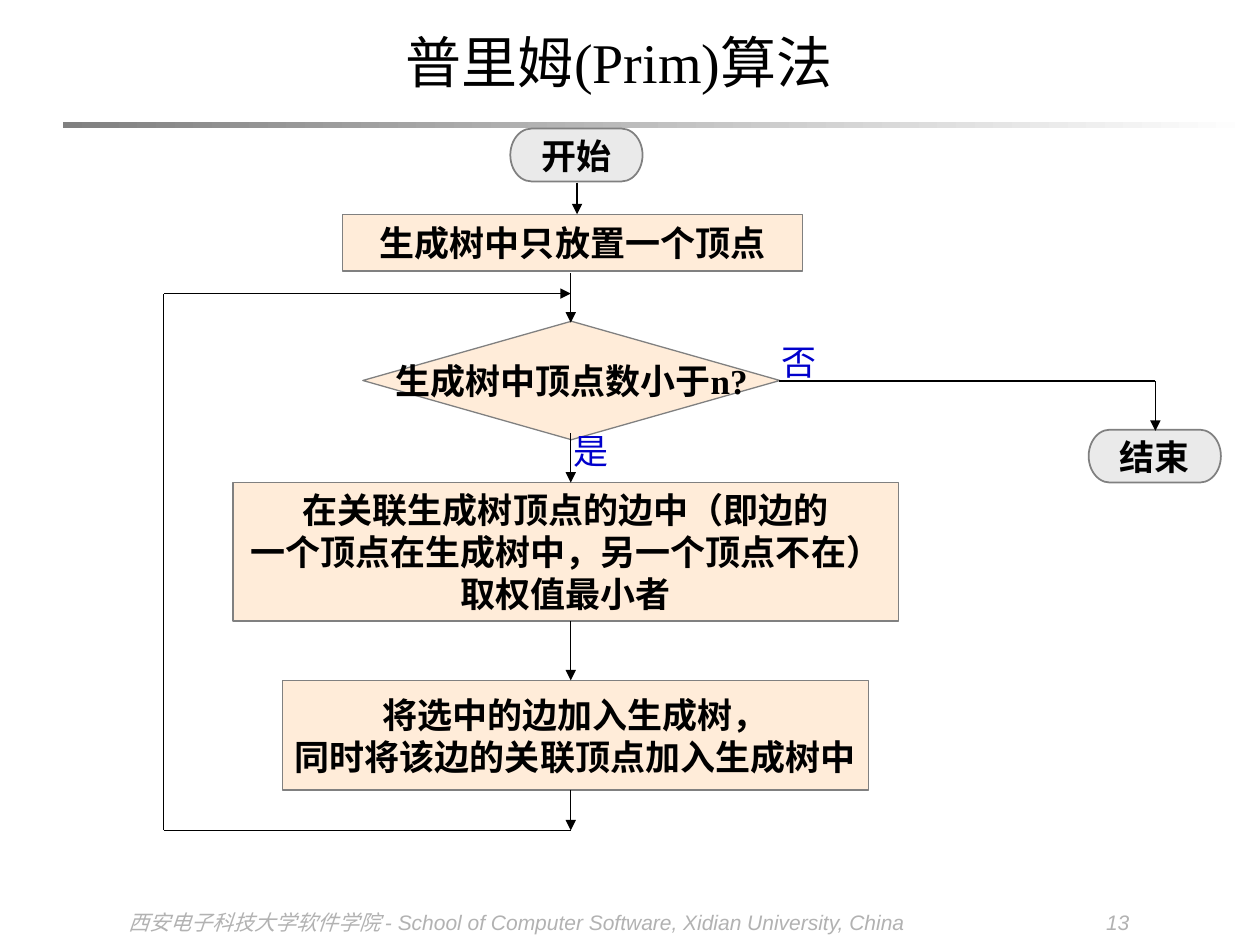
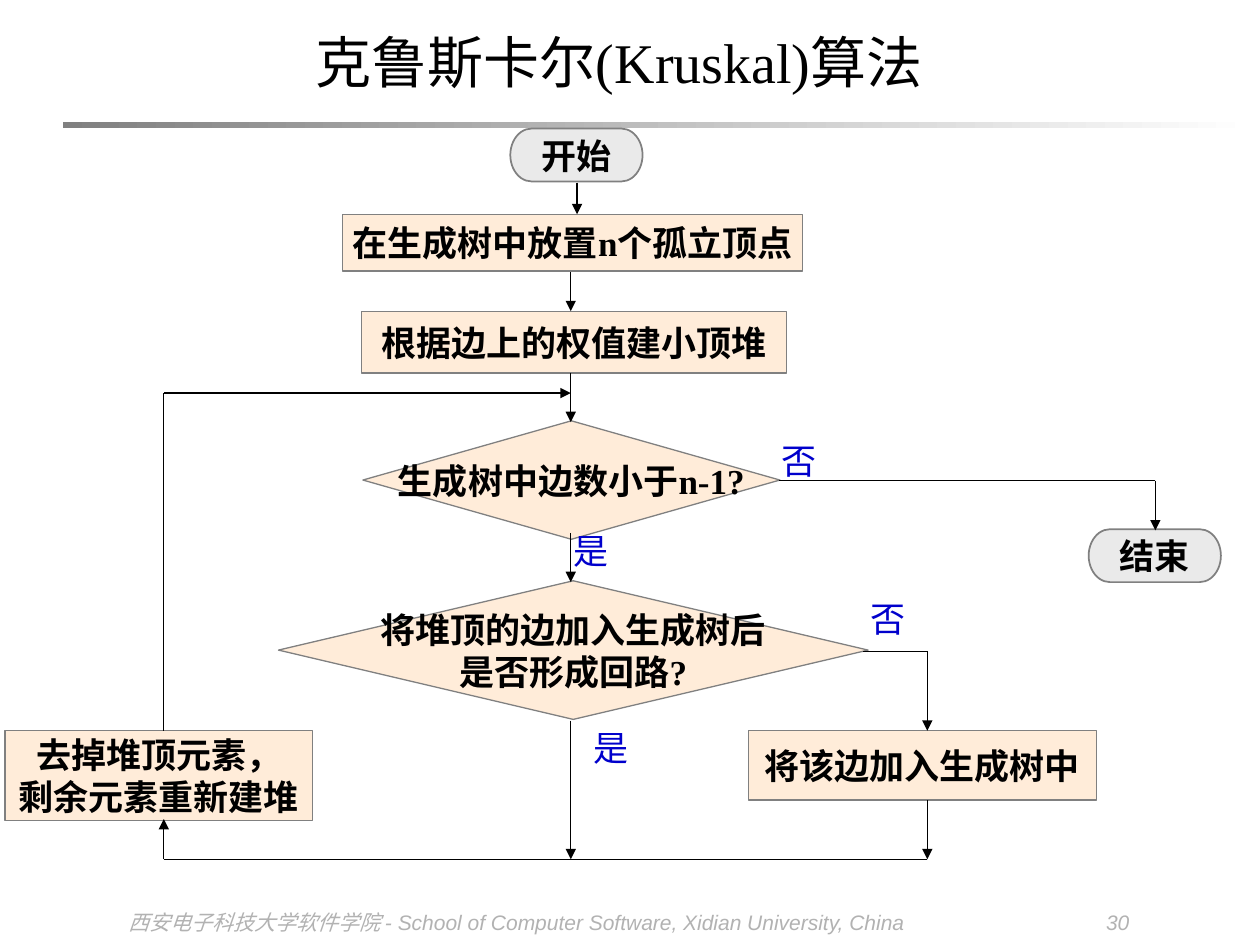
"""Build two flowchart slides: Prim's and Kruskal's minimum spanning tree algorithms."""
from dataclasses import dataclass
from itertools import pairwise

from lxml import etree
from pptx import Presentation
from pptx.dml.color import RGBColor
from pptx.enum.shapes import MSO_CONNECTOR, MSO_SHAPE
from pptx.enum.text import MSO_ANCHOR, MSO_AUTO_SIZE, PP_ALIGN
from pptx.oxml.ns import qn
from pptx.util import Inches, Pt

PROCESS = MSO_SHAPE.FLOWCHART_PROCESS
DECISION = MSO_SHAPE.FLOWCHART_DECISION
TERMINATOR = MSO_SHAPE.FLOWCHART_TERMINATOR
RECTANGLE = MSO_SHAPE.RECTANGLE
STRAIGHT = MSO_CONNECTOR.STRAIGHT
CENTER, LEFT = PP_ALIGN.CENTER, PP_ALIGN.LEFT
MIDDLE = MSO_ANCHOR.MIDDLE
NO_AUTOFIT = MSO_AUTO_SIZE.NONE


@dataclass(frozen=True)
class Theme:
    ink: RGBColor = RGBColor.from_string("000000")
    paper: RGBColor = RGBColor.from_string("FFFFFF")
    step: RGBColor = RGBColor.from_string("FFECD9")
    terminal: RGBColor = RGBColor.from_string("EAEAEA")
    border: RGBColor = RGBColor.from_string("808080")
    answer: RGBColor = RGBColor.from_string("0000CC")
    footer: RGBColor = RGBColor.from_string("B2B2B2")
    serif: str = "Times New Roman"
    sans: str = "Arial"
    cjk: str = "Noto Sans CJK SC"
    title_size: Pt = Pt(32)
    text_size: Pt = Pt(20)
    footer_size: Pt = Pt(12)
    thin: Pt = Pt(0.75)
    thick: Pt = Pt(1)


T = Theme()
prs = Presentation()
prs.slide_width, prs.slide_height = Inches(10), Inches(7.5)
UNIT = prs.slide_width / 100
MAIN_X, LOOP_X, SIDE_X, EXIT_X = 45.3, 13, 73.6, 91.7
START_X, DECISION_RIGHT = 45.8, 61.8


def grid(*cells):
    return [round(c * UNIT) for c in cells]


def link(s, *points):
    for start, end in pairwise(points):
        line = s.shapes.add_connector(STRAIGHT, *grid(*start, *end))
        line.line.color.rgb = T.ink
        line.line.width = T.thin
        etree.SubElement(line._element.spPr, qn("a:effectLst"))
    etree.SubElement(line.line._get_or_add_ln(), qn("a:tailEnd"), type="triangle")


flows = [
    {
        "title": [("普里姆", T.cjk), ("(Prim)算法", T.serif)],
        "number": "13",
        "decision_y": 25.5,
        "question": "生成树中顶点数小于n?",
        "boxes": [
            (PROCESS, (27.2, 17, 36.5, 4.5), "生成树中只放置一个顶点"),
            (PROCESS, (18.5, 38.3, 52.8, 11),
             "在关联生成树顶点的边中（即边的\n一个顶点在生成树中，另一个顶点不在）\n取权值最小者"),
            (PROCESS, (22.4, 54, 46.5, 8.7),
             "将选中的边加入生成树，\n同时将该边的关联顶点加入生成树中"),
        ],
        "links": [
            [(MAIN_X, 49.3), (MAIN_X, 54)],
            [(MAIN_X, 62.7), (MAIN_X, 65.9)],
            [(MAIN_X, 65.9), (LOOP_X, 65.9), (LOOP_X, 23.3), (MAIN_X, 23.3)],
        ],
        "answers": [],
    },
    {
        "title": [("克鲁斯卡尔(Kruskal)算法", T.serif)],
        "number": "30",
        "decision_y": 33.4,
        "question": "生成树中边数小于n-1?",
        "boxes": [
            (PROCESS, (27.2, 17, 36.5, 4.5), "在生成树中放置n个孤立顶点"),
            (PROCESS, (28.7, 24.7, 33.7, 4.9), "根据边上的权值建小顶堆"),
            (DECISION, (22.1, 46.1, 46.8, 11), "将堆顶的边加入生成树后\n是否形成回路?"),
            (PROCESS, (59.4, 58, 27.6, 5.5), "将该边加入生成树中"),
            (PROCESS, (0.4, 58, 24.4, 7.1), "去掉堆顶元素，\n剩余元素重新建堆"),
        ],
        "links": [
            [(MAIN_X, 21.6), (MAIN_X, 24.7)],
            [(MAIN_X, 57.2), (MAIN_X, 68.2)],
            [(68.5, 51.7), (SIDE_X, 51.7), (SIDE_X, 58)],
            [(SIDE_X, 63.5), (SIDE_X, 68.2)],
            [(SIDE_X, 68.2), (LOOP_X, 68.2), (LOOP_X, 65)],
            [(LOOP_X, 58), (LOOP_X, 31.2), (MAIN_X, 31.2)],
        ],
        "answers": [("否", 68.1, 46.9), ("是", 46.1, 57.2)],
    },
]

for flow in flows:
    s = prs.slides.add_slide(prs.slide_layouts[5])

    title = s.shapes.title
    title.left, title.top, title.width, title.height = grid(3.4, 1.3, 91.5, 7.1)
    tf = title.text_frame
    tf.auto_size, tf.vertical_anchor = NO_AUTOFIT, MIDDLE
    p = tf.paragraphs[0]
    p.alignment = CENTER
    p.font.size, p.font.color.rgb = T.title_size, T.ink
    for text, font in flow["title"]:
        r = p.add_run()
        r.text, r.font.name = text, font

    rule = s.shapes.add_shape(RECTANGLE, *grid(5, 9.7, 94.5, 0.5))
    rule.shadow.inherit = False
    rule.line.fill.background()
    rule.fill.gradient()
    rule.fill.gradient_angle = 180
    for stop, color in zip(rule.fill.gradient_stops, (T.paper, T.border)):
        stop.color.rgb = color

    footer_parts = [
        (9.2, 75, [("西安电子科技大学软件学院 ", T.serif),
                   ("- School of Computer Software, Xidian University, China", T.sans)]),
        (86.8, 6, [(flow["number"], T.sans)]),
    ]
    for x, width, runs in footer_parts:
        tf = s.shapes.add_textbox(*grid(x, 71.7, width, 3.3)).text_frame
        tf.word_wrap = True
        p = tf.paragraphs[0]
        p.alignment = LEFT
        p.font.size, p.font.italic = T.footer_size, True
        p.font.color.rgb = T.footer
        for text, font in runs:
            r = p.add_run()
            r.text, r.font.name = text, font

    y = flow["decision_y"]
    boxes = flow["boxes"] + [
        (DECISION, (28.8, y, 33.1, 9.4), flow["question"]),
        (TERMINATOR, (40.5, 10.2, 10.5, 4.2), "开始"),
        (TERMINATOR, (86.4, y + 8.6, 10.5, 4.2), "结束"),
    ]
    for kind, place, text in boxes:
        terminal = kind == TERMINATOR
        box = s.shapes.add_shape(kind, *grid(*place))
        box.shadow.inherit = False
        box.fill.solid()
        box.fill.fore_color.rgb = T.terminal if terminal else T.step
        box.line.color.rgb = T.border
        box.line.width = T.thick if terminal else T.thin
        tf = box.text_frame
        tf.text = text
        tf.word_wrap, tf.vertical_anchor = False, MIDDLE
        for p in tf.paragraphs:
            p.alignment = CENTER
            p.font.name, p.font.size, p.font.bold = T.serif, T.text_size, True
            p.font.color.rgb = T.ink

    links = flow["links"] + [
        [(START_X, 14.5), (START_X, 17)],
        [(MAIN_X, y - 3.8), (MAIN_X, y + 0.1)],
        [(MAIN_X, y + 8.9), (MAIN_X, y + 12.8)],
        [(DECISION_RIGHT, y + 4.75), (EXIT_X, y + 4.75), (EXIT_X, y + 8.7)],
    ]
    for points in links:
        link(s, *points)

    answers = flow["answers"] + [("是", 44.5, y + 8.1), ("否", 61, y + 1)]
    for text, left, top in answers:
        tf = s.shapes.add_textbox(*grid(left, top, 5.8, 4.4)).text_frame
        tf.word_wrap = True
        p = tf.paragraphs[0]
        p.text = text
        p.font.name, p.font.size = T.serif, T.text_size
        p.font.color.rgb = T.answer

prs.save("out.pptx")
